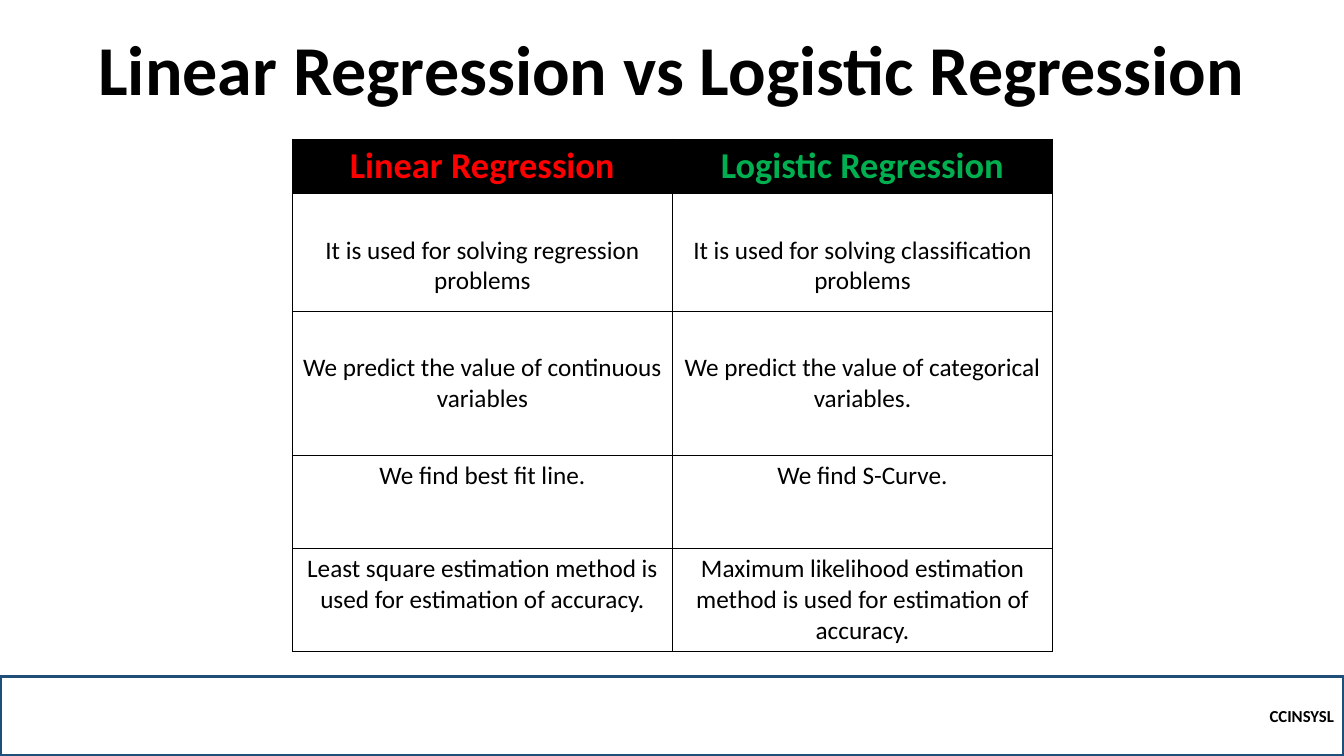
import pptx
import pptx.dml.color
import pptx.enum.shapes
import pptx.enum.text
import pptx.oxml
import pptx.oxml.ns
import pptx.util

Inches, Pt = pptx.util.Inches, pptx.util.Pt
ALIGN = pptx.enum.text.PP_ALIGN
ANCHOR = pptx.enum.text.MSO_ANCHOR


def write(frame, text, size, color, bold, align):
    frame.text = text
    paragraph = frame.paragraphs[0]
    paragraph.alignment = align
    font = paragraph.runs[0].font
    font.name, font.size, font.bold = "Calibri", Pt(size), bold
    font.color.rgb = pptx.dml.color.RGBColor.from_string(color)
    return paragraph


def outline_cell(cell, width):
    """Draw a black line on all four sides; call before the cell is filled."""
    for side in ("lnL", "lnR", "lnT", "lnB"):
        cell._tc.get_or_add_tcPr().append(pptx.oxml.parse_xml(
            f'<a:{side} {pptx.oxml.ns.nsdecls("a")} w="{Pt(width)}">'
            f'<a:solidFill><a:srgbClr val="000000"/></a:solidFill></a:{side}>'))


deck = pptx.Presentation()
deck.slide_width, deck.slide_height = Inches(13.33), Inches(7.5)
slide = deck.slides.add_slide(deck.slide_layouts[5])

# Footer band
footer = slide.shapes.add_shape(
    pptx.enum.shapes.MSO_SHAPE.RECTANGLE,
    0, Inches(6.71), deck.slide_width, Inches(0.79))
footer.shadow.inherit = False
footer.fill.background()
footer.line.color.rgb = pptx.dml.color.RGBColor.from_string("1F4E79")
footer.line.width = Pt(2.25)
footer.text_frame.vertical_anchor = ANCHOR.MIDDLE
write(footer.text_frame, "CCINSYSL", 12, "000000", True, ALIGN.RIGHT)

# Title
title = slide.shapes.title
title.left, title.top = Inches(0.5), Inches(0.36)
title.width, title.height = Inches(12.33), Inches(0.79)
title.text_frame.vertical_anchor = ANCHOR.BOTTOM
title.text_frame.auto_size = pptx.enum.text.MSO_AUTO_SIZE.NONE
heading = write(title.text_frame, "Linear Regression vs Logistic Regression",
                50, "000000", True, ALIGN.CENTER)
heading.line_spacing = 0.9

# Comparison table: row height, top margin, texts
header_colors = ["FF0000", "00B050"]
comparison = [
    (0.53, 0.05, ["Linear Regression", "Logistic Regression"]),
    (1.17, 0.41, ["It is used for solving regression problems",
                  "It is used for solving classification problems"]),
    (1.43, 0.41, ["We predict the value of continuous variables",
                  "We predict the value of categorical variables."]),
    (0.92, 0.05, ["We find best fit line.", "We find S-Curve."]),
    (1.02, 0.05, [
        "Least square estimation method is used for estimation of accuracy.",
        "Maximum likelihood estimation method is used for estimation of accuracy."]),
]
table = slide.shapes.add_table(
    len(comparison), 2, Inches(2.9), Inches(1.38), Inches(7.54),
    Inches(sum(height for height, _, _ in comparison))).table

for row, (height, top_margin, texts) in enumerate(comparison):
    table.rows[row].height = Inches(height)
    is_header = row == 0
    for column, text in enumerate(texts):
        cell = table.cell(row, column)
        outline_cell(cell, 1)
        cell.fill.solid()
        cell.fill.fore_color.rgb = pptx.dml.color.RGBColor.from_string(
            "000000" if is_header else "FFFFFF")
        cell.margin_top = Inches(top_margin)
        write(cell.text_frame, text, 26 if is_header else 18,
              header_colors[column] if is_header else "000000",
              is_header, ALIGN.CENTER)

deck.save("out.pptx")
